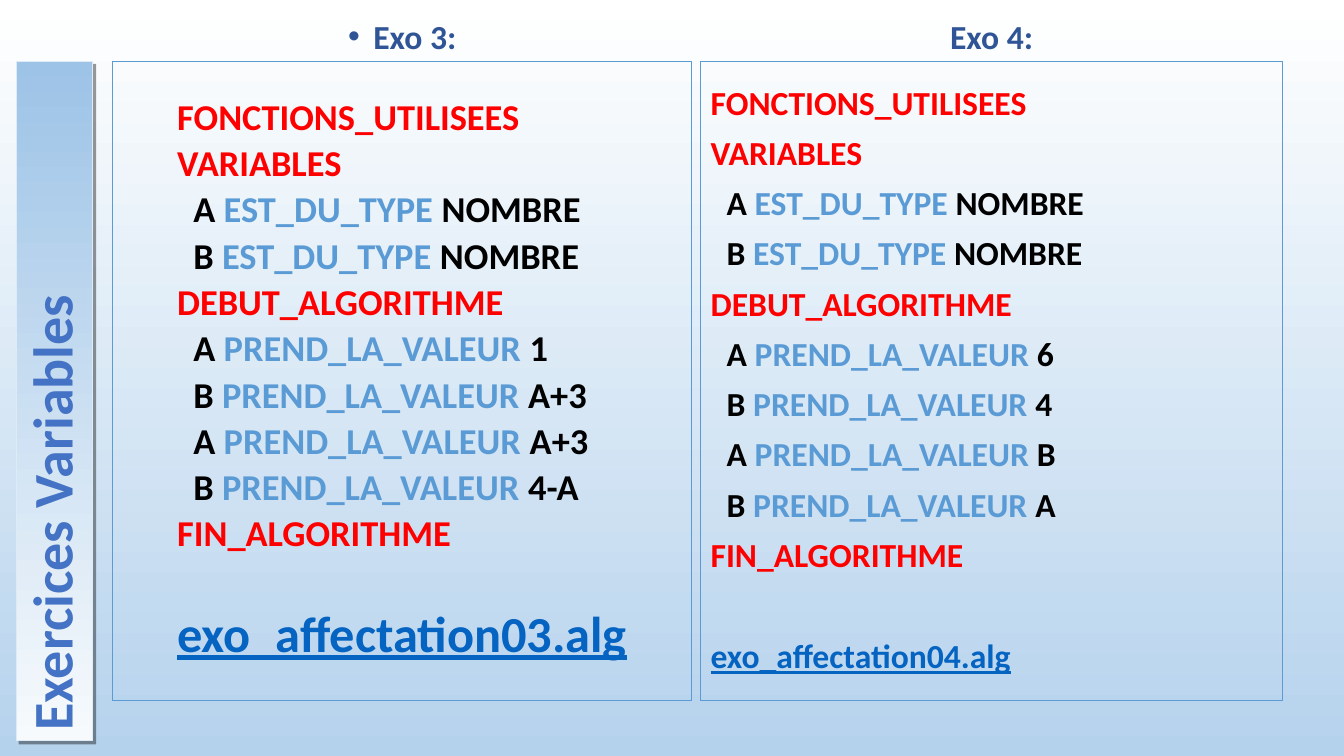
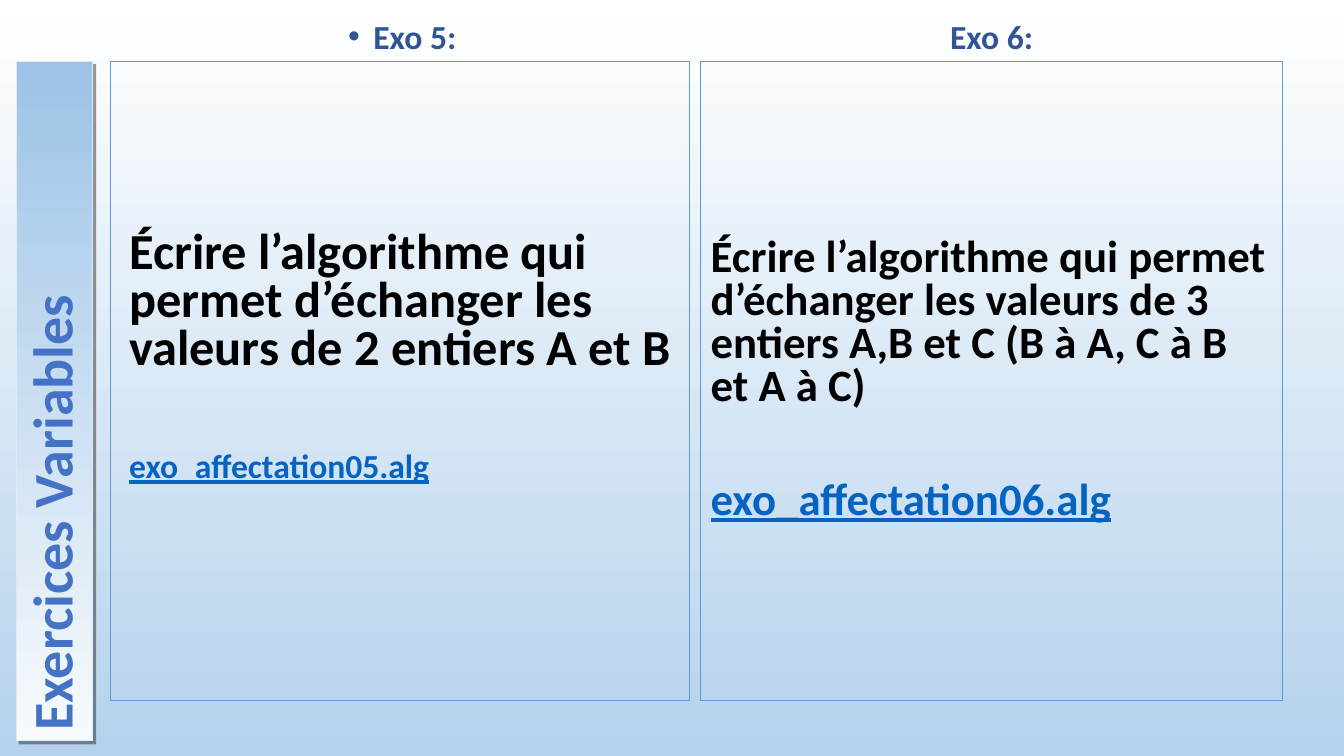
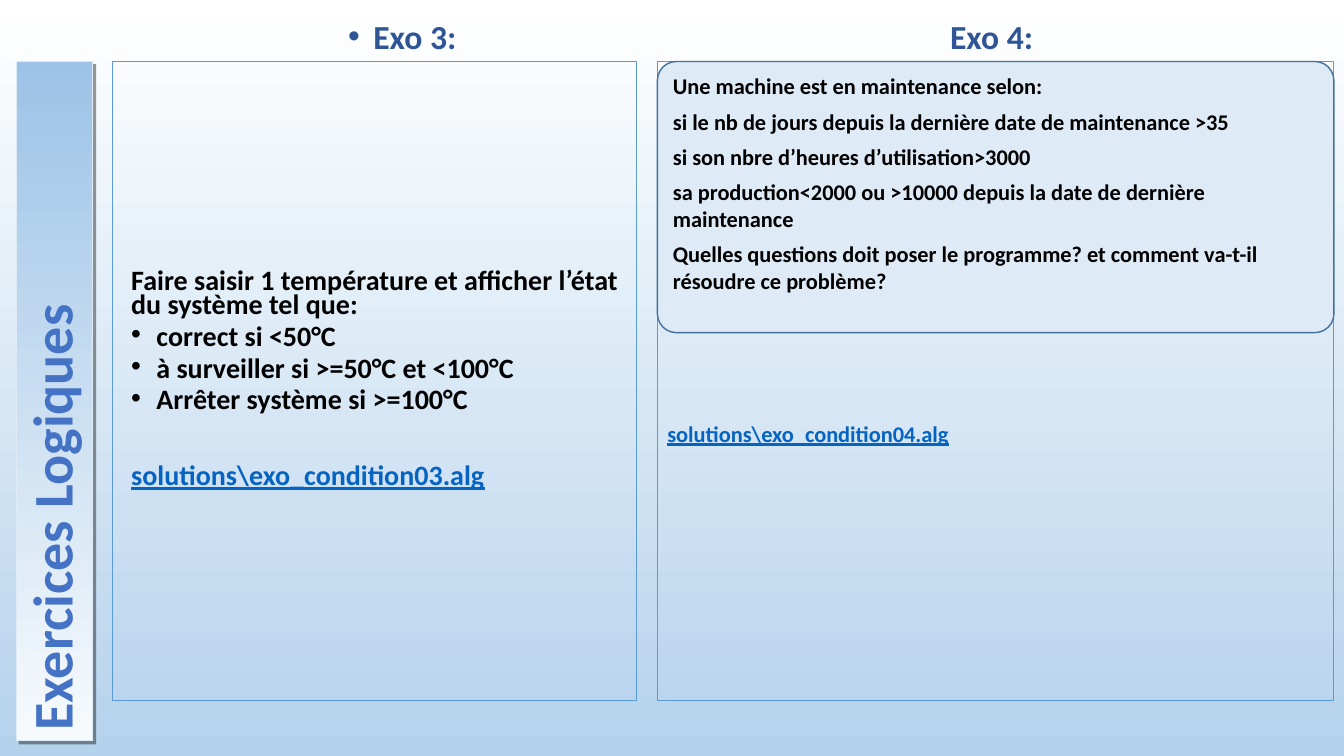
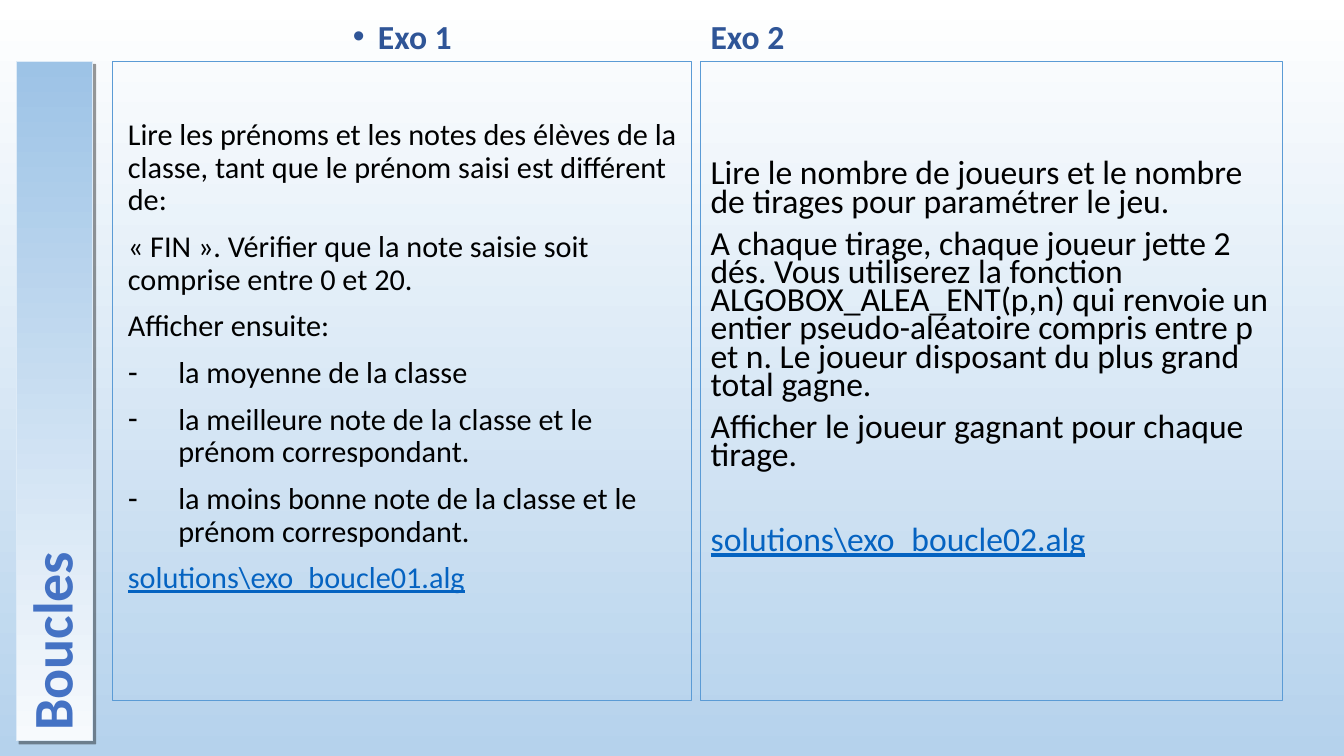
import pptx
import pptx.util
import pptx.dml.color
import pptx.enum.shapes
import pptx.enum.text
import pptx.oxml
import pptx.oxml.ns

Inches, Pt = pptx.util.Inches, pptx.util.Pt
RGB = pptx.dml.color.RGBColor
SHAPE = pptx.enum.shapes.MSO_SHAPE
ANCHOR = pptx.enum.text.MSO_ANCHOR
ALIGN = pptx.enum.text.PP_ALIGN

WHITE, SKY = RGB(0xFF, 0xFF, 0xFF), RGB(0xB5, 0xD2, 0xEC)
MIST, STEEL = RGB(0xF7, 0xFA, 0xFD), RGB(0x9D, 0xC3, 0xE6)
PALE, EDGE = RGB(0xDE, 0xEB, 0xF7), RGB(0x41, 0x71, 0x9C)
TITLE, NAVY = RGB(0x44, 0x72, 0xC4), RGB(0x2F, 0x55, 0x97)
BLUE, RED = RGB(0x5B, 0x9B, 0xD5), RGB(0xFF, 0, 0)
BLACK, LINK = RGB(0, 0, 0), RGB(0x05, 0x63, 0xC1)

FONT = "Calibri"
LINE = 1.22  # height of a line for a size of 1
TOP, HIGH = 0.61, 6.34
LEFT, RIGHT = (1.12, 5.74), (6.95, 5.77)
CODE_IN = 0.16


def code(*values):
    """Give the paragraphs of a program that assigns to A, B, A, B."""
    types = [(v, "EST_DU_TYPE", "NOMBRE") for v in "AB"]
    sets = [(v, "PREND_LA_VALEUR", x) for v, x in zip("ABAB", values)]
    rows = ["FONCTIONS_UTILISEES", "VARIABLES", *types,
            "DEBUT_ALGORITHME", *sets, "FIN_ALGORITHME"]
    paras = []
    for row in rows:
        if isinstance(row, str):
            paras.append({"runs": [(row, RED)]})
        else:
            name, verb, value = row
            paras.append({"runs": [(name + " ", BLACK), (verb, BLUE),
                                   (" " + value, BLACK)], "left": CODE_IN})
    return paras


def plain(*texts, **form):
    return [{"runs": [(t, BLACK)], **form} for t in texts]


# "gap" is the size of the free line above the link, "tail" of the one below
SLIDES = [
    ("Exercices Variables", [
        {"head": "Exo 3:", "size": 26, "before": 5, "gap": 26,
         "paras": code("1", "A+3", "A+3", "4-A"),
         "link": ("exo_affectation03.alg", 36)},
        {"head": "Exo 4:", "size": 24, "gap": 24,
         "paras": code("6", "4", "B", "A"),
         "link": ("exo_affectation04.alg", 24)},
    ]),
    ("Exercices Variables", [
        {"head": "Exo 5:", "size": 36, "gap": 36, "tail": 24, "space": 0.8,
         "place": (1.1, 5.74),
         "paras": plain("Écrire l’algorithme qui permet d’échanger les "
                        "valeurs de 2 entiers A et B"),
         "link": ("exo_affectation05.alg", 24)},
        {"head": "Exo 6:", "size": 32, "gap": 32, "space": 0.8,
         "paras": plain("Écrire l’algorithme qui permet d’échanger les "
                        "valeurs de 3 entiers A,B et C (B à A, C à B "
                        "et A à C)"),
         "link": ("exo_affectation06.alg", 32)},
    ]),
    ("Exercices Logiques", [
        {"head": "Exo 3:", "size": 20, "gap": 20, "space": 0.7,
         "place": (1.12, 5.19),
         "paras": plain("Faire saisir 1 température et afficher l’état "
                        "du système tel que:")
         + plain("correct si <50°C", "à surveiller si >=50°C et <100°C",
                 "Arrêter système si >=100°C",
                 bullet="•", left=0.25, before=6),
         "link": ("solutions\\exo_condition03.alg", 20)},
        {"head": "Exo 4:", "size": 16, "before": 6, "push": 1.07,
         "place": (6.52, 6.71), "paras": [],
         "link": ("solutions\\exo_condition04.alg", 16),
         "note": plain(
             "Une machine est en maintenance selon:",
             "si le nb de jours depuis la dernière date de maintenance >35",
             "si son nbre d’heures d’utilisation>3000",
             "sa production<2000 ou >10000 depuis la date de dernière "
             "maintenance",
             "Quelles questions doit poser le programme? et comment "
             "va-t-il résoudre ce problème?")},
    ]),
    ("Boucles", [
        {"head": "Exo 1", "size": 21.6, "tail": 21.6, "bold": False,
         "paras": plain(
             "Lire les prénoms et les notes des élèves de la classe, tant "
             "que le prénom saisi est différent de:",
             "« FIN ». Vérifier que la note saisie soit comprise entre "
             "0 et 20.",
             "Afficher ensuite:")
         + plain("la moyenne de la classe",
                 "la meilleure note de la classe et le prénom "
                 "correspondant.",
                 "la moins bonne note de la classe et le prénom "
                 "correspondant.", bullet="-", left=0.5),
         "link": ("solutions\\exo_boucle01.alg", 21.6)},
        {"head": "Exo 2", "align": ALIGN.LEFT, "size": 24, "gap": 24,
         "tail": 24, "space": 0.7, "bold": False,
         "paras": plain(
             "Lire le nombre de joueurs et le nombre de tirages pour "
             "paramétrer le jeu.",
             "A chaque tirage, chaque joueur jette 2 dés. Vous utiliserez "
             "la fonction ALGOBOX_ALEA_ENT(p,n) qui renvoie un entier "
             "pseudo-aléatoire compris entre p et n. Le joueur disposant "
             "du plus grand total gagne.",
             "Afficher le joueur gagnant pour chaque tirage."),
         "link": ("solutions\\exo_boucle02.alg", 24)},
    ]),
]


def assign(target, **values):
    for name, value in values.items():
        setattr(target, name, value)


def frame(shape, anchor=ANCHOR.MIDDLE, push=0, tail=0, center=False):
    """Set up the text frame; push and tail add to its upper and lower inset."""
    text = shape.text_frame
    assign(text, word_wrap=True, vertical_anchor=anchor,
           auto_size=pptx.enum.text.MSO_AUTO_SIZE.NONE,
           margin_left=Inches(0.1), margin_right=Inches(0.1),
           margin_top=Inches(0.05 + push), margin_bottom=Inches(0.05 + tail))
    if center:
        text._txBody.bodyPr.set("anchorCtr", "1")
    return text


def xml(parent, tag, **attrs):
    node = pptx.oxml.ns.qn("a:" + tag)
    child = parent.makeelement(node, attrs)
    parent.append(child)
    return child


def write(text, paras, **base):
    """Fill a frame; each paragraph may override the base format."""
    for i, own in enumerate(paras):
        form = {"bold": True, "space": 0.9, "before": 10, "under": None,
                "align": ALIGN.LEFT, "left": 0, "bullet": None, **base, **own}
        para = text.paragraphs[0] if i == 0 else text.add_paragraph()
        assign(para, alignment=form["align"], line_spacing=form["space"],
               space_before=Pt(form["before"]))
        for words, color in form["runs"]:
            run = para.add_run()
            run.text = words
            assign(run.font, name=FONT, size=Pt(form["size"]),
                   bold=form["bold"], underline=form["under"])
            run.font.color.rgb = color
        props = para._p.get_or_add_pPr()
        left = Inches(form["left"])
        props.set("marL", str(left))
        if form["bullet"]:
            props.set("indent", str(-left))
            tint = xml(props, "buClr")
            xml(tint, "srgbClr", val=str(form["runs"][0][1]))
            xml(props, "buFont", typeface="Arial")
            xml(props, "buChar", char=form["bullet"])


def shade(fill, first, last, angle):
    fill.gradient()
    fill.gradient_angle = angle
    for stop, color in zip(fill.gradient_stops, (first, last)):
        stop.color.rgb = color


def edge(shape, color, width):
    shape.line.color.rgb = color
    shape.line.width = Pt(width)


def band(slide, words):
    """Turn the title into the upright band at the left."""
    title = slide.shapes.title
    assign(title, left=Inches(-2.83), top=Inches(3.6), width=Inches(6.74),
           height=Inches(0.76), rotation=270)
    shade(title.fill, MIST, STEEL, 0)
    edge(title, PALE, 0.75)
    effects = xml(title._element.spPr, "effectLst")
    shadow = xml(effects, "outerShdw", dist=str(Pt(3)), dir="2700000",
                 algn="tl", rotWithShape="0")
    tint = xml(shadow, "srgbClr", val=str(BLACK))
    xml(tint, "alpha", val="40000")
    write(frame(title), [{"runs": [(words, TITLE)]}], size=40, before=0)


def box(slide, kind, place, height):
    left, width = place
    shape = slide.shapes.add_shape(kind, Inches(left), Inches(TOP),
                                   Inches(width), Inches(height))
    shape.shadow.inherit = False
    return shape


def header(slide, panel, first):
    left, width = LEFT if first else RIGHT
    area = slide.shapes.add_textbox(Inches(left), Inches(0.1),
                                    Inches(width), Inches(0.51))
    form = ({"bullet": "•", "left": 0.25} if first
            else {"align": panel.get("align", ALIGN.CENTER)})
    write(frame(area, ANCHOR.BOTTOM, center=first),
          [{"runs": [(panel["head"], NAVY)], **form}], size=24)


def body(slide, panel, first):
    place = panel.get("place", LEFT if first else RIGHT)
    before, space = panel.get("before", 10), panel.get("space", 0.9)

    def blank(key):
        """Height in points of a free line."""
        size = panel.get(key)
        return before + LINE * space * size if size else 0

    shape = box(slide, SHAPE.RECTANGLE, place, HIGH)
    shape.fill.background()
    edge(shape, BLUE, 0.75)
    words, size = panel["link"]
    link = {"runs": [(words, LINK)], "size": size, "under": True,
            "before": round(before + blank("gap"), 1)}
    text = frame(shape, push=panel.get("push", 0),
                 tail=round(blank("tail") / 72, 2), center=first)
    write(text, panel["paras"] + [link], size=panel["size"], before=before,
          space=space, bold=panel.get("bold", True))
    if "note" in panel:
        note = box(slide, SHAPE.ROUNDED_RECTANGLE, place, 2.69)
        note.adjustments[0] = 0.07
        note.fill.solid()
        note.fill.fore_color.rgb = PALE
        edge(note, EDGE, 1)
        write(frame(note, tail=0.27), panel["note"], size=16, before=6,
              space=1.0)


def main():
    deck = pptx.Presentation()
    assign(deck, slide_width=Inches(13.33), slide_height=Inches(7.5))
    shade(deck.slide_master.background.fill, WHITE, SKY, 270)
    layout = deck.slide_layouts.get_by_name("Title Only")
    for words, panels in SLIDES:
        slide = deck.slides.add_slide(layout)
        band(slide, words)
        for i, panel in enumerate(panels):
            header(slide, panel, i == 0)
            body(slide, panel, i == 0)
    deck.save("out.pptx")


if __name__ == "__main__":
    main()
